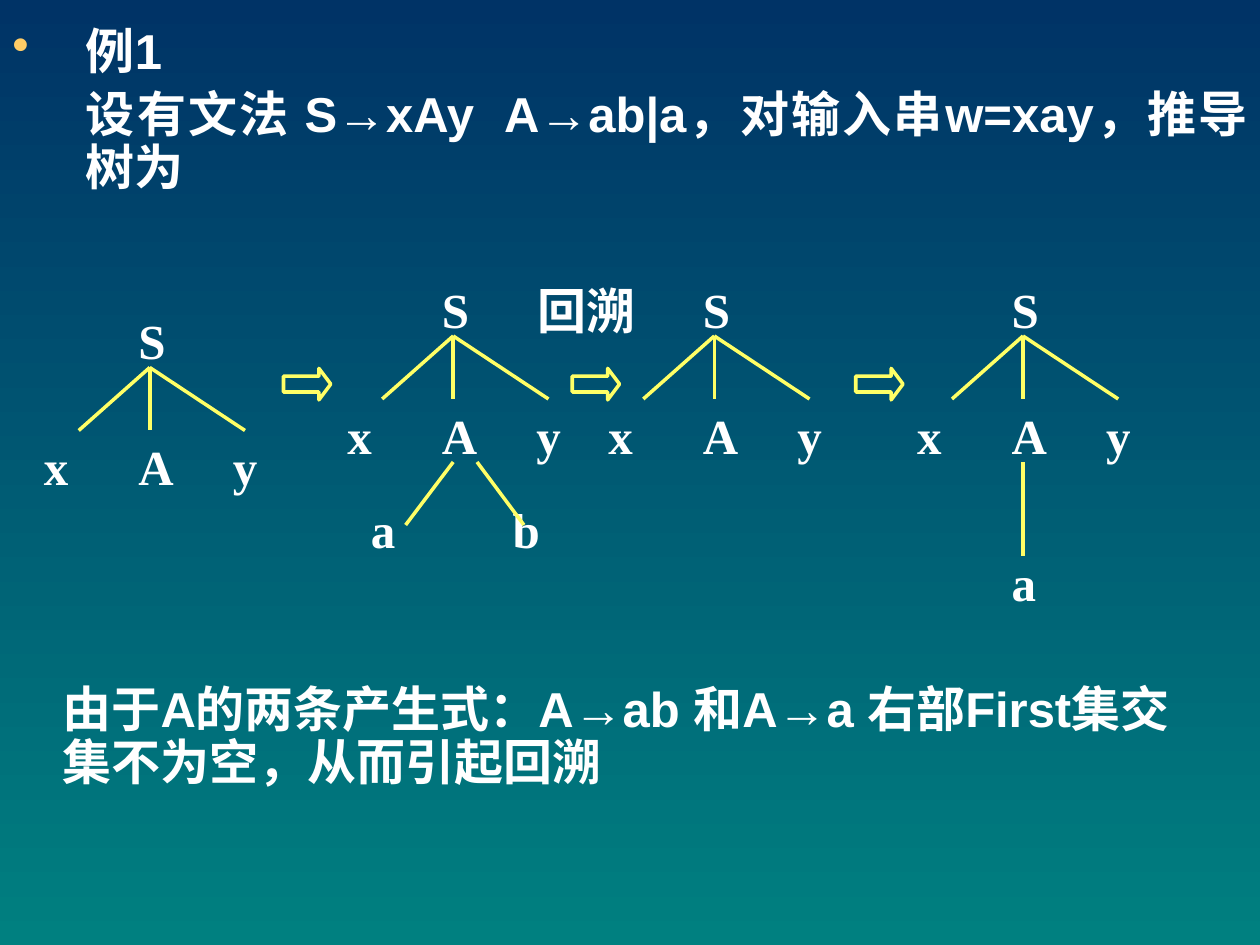
from dataclasses import dataclass

import lxml.etree
import pptx
import pptx.dml.color
import pptx.enum.shapes
import pptx.enum.text
import pptx.oxml.ns
import pptx.util

Pt = pptx.util.Pt
qn = pptx.oxml.ns.qn
RGB = pptx.dml.color.RGBColor.from_string
ALIGN = pptx.enum.text.PP_ALIGN


@dataclass(frozen=True)
class Theme:
    top: str = "003366"
    bottom: str = "008080"
    text: str = "FFFFFF"
    line: str = "FFFF66"
    bullet: str = "FFCC66"
    size: float = 28
    line_width: float = 2
    body_font: str = "Arial"
    node_font: str = "Times New Roman"


THEME = Theme()
NODE_W, NODE_H = 41, 54
SPREAD = 54     # from the middle node to each sibling
LEVEL = 72      # from the root to its children
STEM = 13.6     # from a node's left edge to its stem


def set_background(slide):
    fill = slide.background.fill
    fill.gradient()
    fill.gradient_angle = 270
    for stop, color in zip(fill.gradient_stops, (THEME.top, THEME.bottom)):
        stop.color.rgb = RGB(color)


def add_box(shapes, x, y, w, h):
    tf = shapes.add_textbox(Pt(x), Pt(y), Pt(w), Pt(h)).text_frame
    tf.word_wrap = True
    return tf


def add_run(p, text, font):
    r = p.add_run()
    r.text = text
    r.font.name = font
    r.font.size = Pt(THEME.size)
    r.font.bold = True
    r.font.color.rgb = RGB(THEME.text)


def add_bullet(p, indent):
    pPr = p._p.get_or_add_pPr()
    pPr.set("indent", str(Pt(-indent)))
    color = lxml.etree.SubElement(pPr, qn("a:buClr"))
    lxml.etree.SubElement(color, qn("a:srgbClr"), val=THEME.bullet)
    lxml.etree.SubElement(pPr, qn("a:buChar"), char="•")


def add_heading(shapes):
    indent = 42
    tf = add_box(shapes, 0, 12.2, 720, 114)
    first, second = tf.paragraphs[0], tf.add_paragraph()
    add_bullet(first, indent)
    second.space_before = Pt(5.6)
    texts = ("例1", "设有文法 S→xAy  A→ab|a，对输入串w=xay，推导树为")
    for p, text in zip((first, second), texts):
        p._p.get_or_add_pPr().set("marL", str(Pt(indent)))
        p.alignment = ALIGN.JUSTIFY
        p.line_spacing = 0.9
        add_run(p, text, THEME.body_font)


def add_conclusion(shapes):
    p = add_box(shapes, 28.8, 388, 667.5, 67.7).paragraphs[0]
    p.line_spacing = 0.9
    add_run(p, "由于A的两条产生式：A→ab 和A→a 右部First集交集不为空，从而引起回溯",
            THEME.body_font)


def add_node(shapes, text, x, y, w=NODE_W):
    p = add_box(shapes, x, y, w, NODE_H).paragraphs[0]
    p.alignment = ALIGN.JUSTIFY
    add_run(p, text, THEME.node_font)


def add_branch(shapes, x1, y1, x2, y2):
    s = shapes.add_connector(pptx.enum.shapes.MSO_CONNECTOR.STRAIGHT,
                             Pt(x1), Pt(y1), Pt(x2), Pt(y2))
    s.line.color.rgb = RGB(THEME.line)
    s.line.width = Pt(THEME.line_width)
    lxml.etree.SubElement(s._element.spPr, qn("a:effectLst"))


def add_step_arrow(shapes, x, y):
    s = shapes.add_shape(pptx.enum.shapes.MSO_SHAPE.RIGHT_ARROW,
                         Pt(x), Pt(y), Pt(27), Pt(18))
    s.adjustments[0], s.adjustments[1] = 0.5, 0.375
    s.shadow.inherit = False
    s.fill.background()
    s.line.color.rgb = RGB(THEME.line)
    s.line.width = Pt(THEME.line_width)


def add_tree(shapes, x, y):
    """Draw S with its children x, A and y; (x, y) is the corner of S."""
    add_node(shapes, "S", x, y)
    for dx in (-27, STEM, 68):
        add_branch(shapes, x + STEM, y + 36, x + dx, y + LEVEL)
    for i, text in enumerate("xAy"):
        add_node(shapes, text, x + (i - 1) * SPREAD, y + LEVEL)


def add_ab_expansion(shapes, x, y):
    for text, dx, start, end in (("a", -40.5, STEM, -STEM),
                                 ("b", 40.5, 2 * STEM, SPREAD)):
        add_node(shapes, text, x + dx, y + 126)
        add_branch(shapes, x + start, y + 108, x + end, y + 144)


def add_a_expansion(shapes, x, y):
    add_node(shapes, "a", x, y + 156)
    add_branch(shapes, x + STEM, y + 108, x + STEM, y + 162)


def main():
    prs = pptx.Presentation()
    prs.slide_width, prs.slide_height = Pt(720), Pt(540)
    slide = prs.slides.add_slide(prs.slide_layouts[6])
    set_background(slide)
    add_heading(slide.shapes)

    # root x, root y, step arrow x, expansion of A
    steps = ((72, 174, None, None),
             (245.4, 156, 162, add_ab_expansion),
             (394.6, 156, 327, None),
             (571, 156, 489, add_a_expansion))
    for x, y, arrow_x, expand in steps:
        shapes = slide.shapes.add_group_shape().shapes
        if arrow_x is not None:
            add_step_arrow(shapes, arrow_x, 210.5)
        add_tree(shapes, x, y)
        if expand:
            expand(shapes, x, y)

    add_node(slide.shapes, "回溯", 300.2, 157, w=83)
    add_conclusion(slide.shapes)
    prs.save("out.pptx")


if __name__ == "__main__":
    main()
